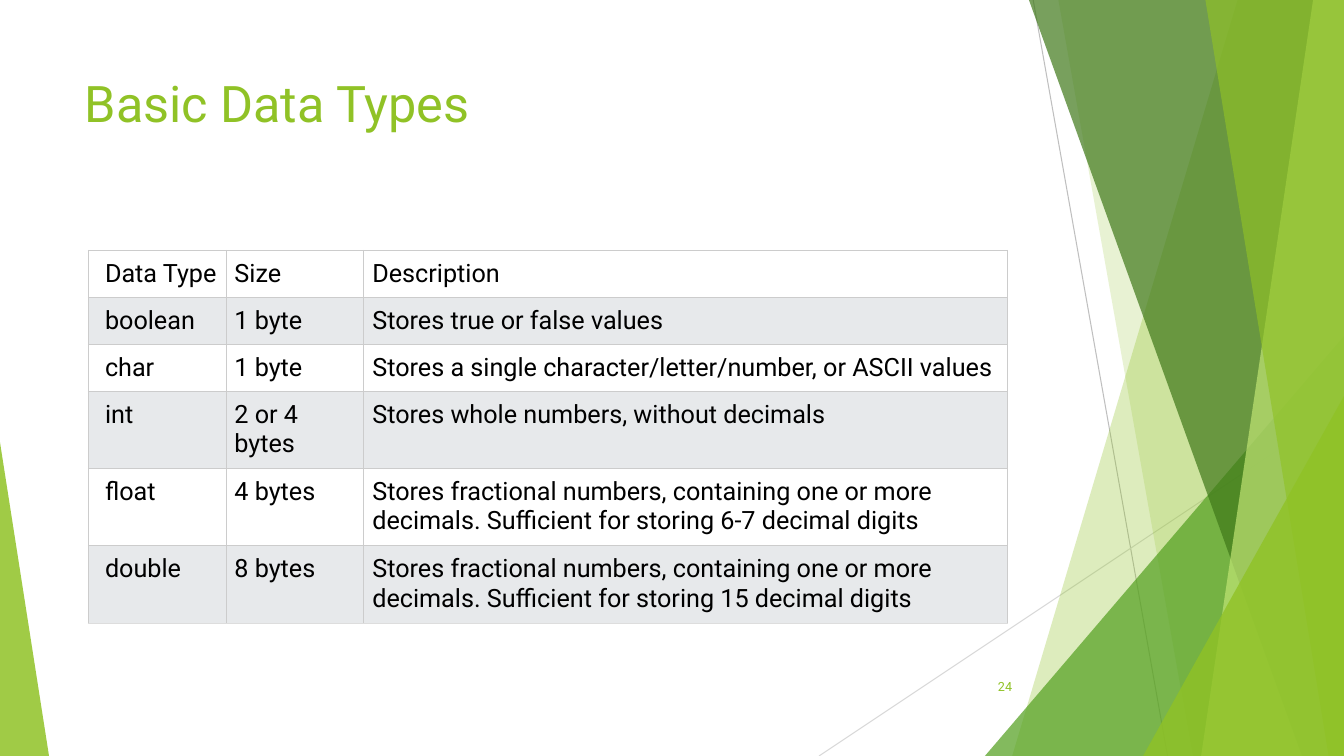
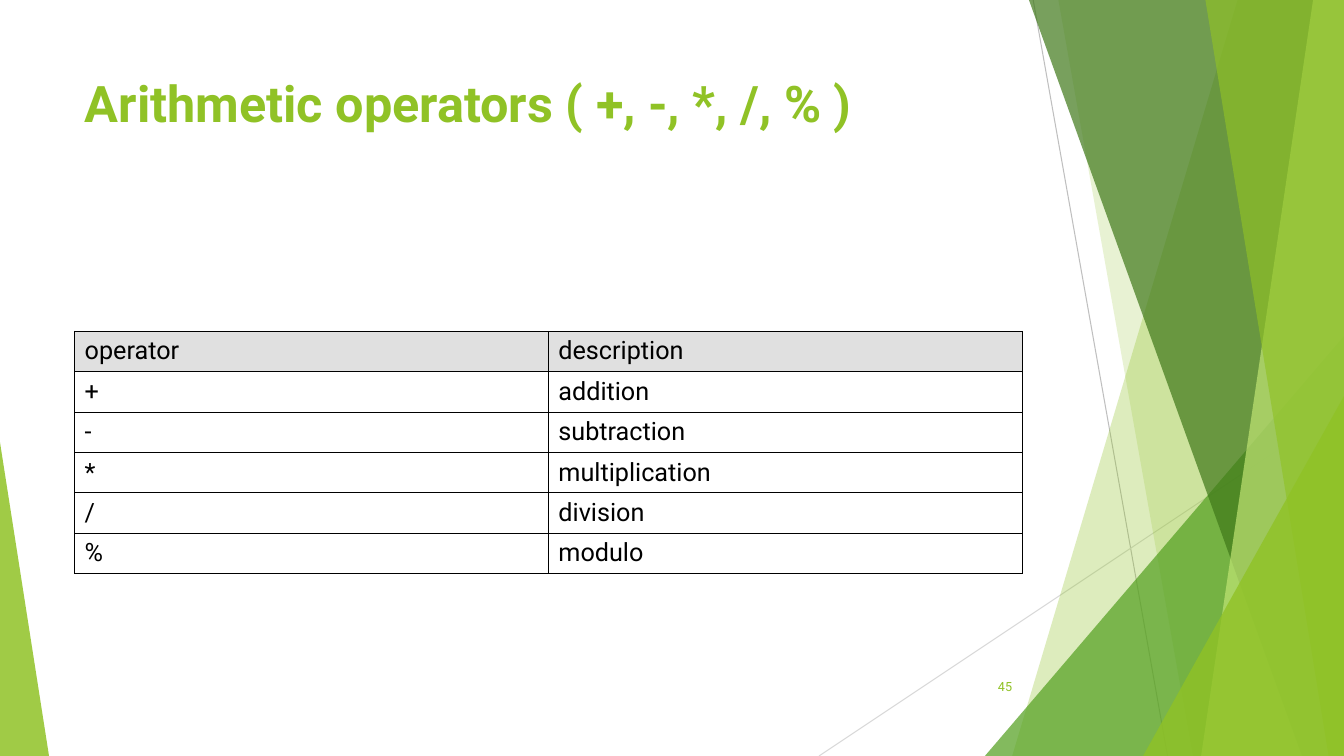
from lxml.etree import SubElement
from pptx import Presentation
from pptx.dml.color import RGBColor
from pptx.enum.shapes import MSO_CONNECTOR as Line, MSO_SHAPE as Shape
from pptx.enum.text import MSO_ANCHOR as Anchor, MSO_AUTO_SIZE as AutoSize, PP_ALIGN as Align
from pptx.oxml.ns import qn
from pptx.util import Pt

WIDTH, HEIGHT = 960, 540
FONT = "Roboto"
BLACK = RGBColor(0x00, 0x00, 0x00)
WHITE = RGBColor(0xFF, 0xFF, 0xFF)
LIME = RGBColor(0x90, 0xC2, 0x26)
PALE_LIME = RGBColor(0xC0, 0xE4, 0x74)
GREEN = RGBColor(0x54, 0xA0, 0x21)
DARK_GREEN = RGBColor(0x3F, 0x78, 0x19)
LINE_GRAY = RGBColor(0xBF, 0xBF, 0xBF)
LIGHT_LINE = RGBColor(0xD9, 0xD9, 0xD9)
BORDER_GRAY = RGBColor(0xCC, 0xCC, 0xCC)
BASE_GRAY = RGBColor(0xDD, 0xDD, 0xDD)
BAND_GRAY = RGBColor(0xE7, 0xE9, 0xEB)
HEADER_GRAY = RGBColor(0xE0, 0xE0, 0xE0)

PAGE_BOX = (0, 0, WIDTH, HEIGHT)
TITLE_BOX = (53.3, 48, 676.8, 104)
NUMBER_BOX = (676, 476, 54, 29)

TYPES = [
    ("Data Type", "Size", "Description"),
    ("boolean", "1 byte", "Stores true or false values"),
    ("char", "1 byte", "Stores a single character/letter/number, or ASCII values"),
    ("int", "2 or 4 bytes", "Stores whole numbers, without decimals"),
    ("float", "4 bytes", "Stores fractional numbers, containing one or more decimals. "
     "Sufficient for storing 6-7 decimal digits"),
    ("double", "8 bytes", "Stores fractional numbers, containing one or more decimals. "
     "Sufficient for storing 15 decimal digits"),
]
OPERATORS = [
    ("operator", "description"),
    ("+", "addition"),
    ("-", "subtraction"),
    ("*", "multiplication"),
    ("/", "division"),
    ("%", "modulo"),
]


def pts(*values):
    """Turn numbers of points into lengths."""
    return [Pt(v) for v in values]


def style(p, size, color, bold=False, align=Align.LEFT):
    """Set the font and alignment of a paragraph."""
    p.alignment = align
    p.font.name, p.font.size, p.font.bold = FONT, Pt(size), bold
    p.font.color.rgb = color


def paint(sp, color, percent):
    """Give a shape a see-through fill, no outline and no shadow."""
    sp.shadow.inherit = False
    sp.line.fill.background()
    sp.fill.solid()
    sp.fill.fore_color.rgb = color
    clr = sp.element.spPr.find(qn("a:solidFill"))[0]
    SubElement(clr, qn("a:alpha"), val=str(percent * 1000))


def add_facets(s, box):
    """Draw the green facets at both edges of the box, behind everything else."""
    x, y, w, h = box
    group = s.shapes.add_group_shape()
    shapes = group.shapes

    def line(x1, y1, x2, y2, color):
        cn = shapes.add_connector(Line.STRAIGHT, *pts(x + x1, y + y1, x + x2, y + y2))
        cn.line.color.rgb, cn.line.width = color, Pt(0.75)
        SubElement(cn.element.spPr, qn("a:effectLst"))

    def facet(top, bottom, color, percent):
        fb = shapes.build_freeform(x + top, y, scale=Pt(1))
        fb.add_line_segments([(x + w, y), (x + w, y + h), (x + bottom, y + h)])
        paint(fb.convert_to_shape(), color, percent)

    def corner(left, top, width, apex, color, percent):
        sp = shapes.add_shape(Shape.ISOSCELES_TRIANGLE,
                              *pts(x + left, y + top, width, h - top))
        sp.adjustments[0] = apex
        paint(sp, color, percent)

    line(738, 0, 834, h, LINE_GRAY)
    line(w, 290, 585, h, LIGHT_LINE)
    facet(884, 723, LIME, 30)
    facet(756, 852, LIME, 20)
    corner(703.5, 240, w - 703.5, 1, GREEN, 72)
    facet(735, 929.5, DARK_GREEN, 70)
    facet(938, 858, PALE_LIME, 70)
    facet(861, 949, LIME, 65)
    corner(816.5, 283, w - 816.5, 1, LIME, 80)
    corner(0, 316, 35, 0, LIME, 85)
    s.shapes.element.insert(2, group.element)


def add_title(s, box, text, bold):
    """Place the title placeholder in the box."""
    sp = s.shapes.title
    sp.left, sp.top, sp.width, sp.height = pts(*box)
    tf = sp.text_frame
    tf.text = text
    tf.auto_size, tf.vertical_anchor = AutoSize.NONE, Anchor.TOP
    style(tf.paragraphs[0], 36, LIME, bold)


def add_number(s, box, number):
    """Write the page number at the right of the box."""
    tf = s.shapes.add_textbox(*pts(*box)).text_frame
    tf.word_wrap, tf.vertical_anchor = True, Anchor.MIDDLE
    tf.text = str(number)
    style(tf.paragraphs[0], 9, LIME, align=Align.RIGHT)


def add_borders(cell, color, base):
    """Draw thin borders around a filled cell, the bottom one in the base colour."""
    tc_pr = cell._tc.get_or_add_tcPr()
    for i, side in enumerate("LRTB"):
        ln = SubElement(tc_pr, qn(f"a:ln{side}"), w=str(Pt(0.75)))
        fill = SubElement(ln, qn("a:solidFill"))
        SubElement(fill, qn("a:srgbClr"), val=str(base if side == "B" else color))
        tc_pr.insert(i, ln)


def add_grid(s, box, rows, widths, heights, fills, border, base=None,
             first_inset=7.2, insets=(7.2, 3.6), anchor=Anchor.MIDDLE):
    """Fill a table at the box's corner, with one fill colour for each row."""
    frame = s.shapes.add_table(len(rows), len(widths), *pts(*box))
    tbl = frame.table
    tbl.first_row = tbl.horz_banding = False
    for col, width in zip(tbl.columns, widths):
        col.width = Pt(width)
    for r, (texts, height, fill) in enumerate(zip(rows, heights, fills)):
        tbl.rows[r].height = Pt(height)
        last = r == len(rows) - 1
        for c, text in enumerate(texts):
            cell = tbl.cell(r, c)
            cell.text = text
            cell.vertical_anchor = anchor
            cell.margin_left = Pt(insets[0] if c else first_inset)
            cell.margin_right = Pt(insets[0])
            cell.margin_top = cell.margin_bottom = Pt(insets[1])
            cell.fill.solid()
            cell.fill.fore_color.rgb = fill
            style(cell.text_frame.paragraphs[0], 18, BLACK)
            add_borders(cell, border, base if last and base else border)


def add_page(prs, title, number, bold=False):
    """Add a slide with the facets, title and number that all slides share."""
    s = prs.slides.add_slide(prs.slide_layouts[5])
    add_facets(s, PAGE_BOX)
    add_title(s, TITLE_BOX, title, bold)
    add_number(s, NUMBER_BOX, number)
    return s


def add_types_slide(prs):
    """Build the slide on basic data types."""
    s = add_page(prs, "Basic Data Types", 24)
    add_grid(s, (63, 178.8, 657, 262), TYPES, (98.5, 98.5, 460),
             [33.1] * 3 + [54.2] * 3, [WHITE, BAND_GRAY] * 3, BORDER_GRAY, BASE_GRAY,
             first_inset=12, insets=(6, 6), anchor=Anchor.TOP)


def add_operators_slide(prs):
    """Build the slide on arithmetic operators."""
    s = add_page(prs, "Arithmetic operators ( +, -, *, /, % )", 45, bold=True)
    add_grid(s, (53.3, 236.6, 676.8, 170.4), OPERATORS, [338.4] * 2,
             [28.4] * 6, [HEADER_GRAY] + [WHITE] * 5, BLACK)


def main():
    """Build and save the presentation."""
    prs = Presentation()
    prs.slide_width, prs.slide_height = pts(WIDTH, HEIGHT)
    add_types_slide(prs)
    add_operators_slide(prs)
    prs.save("out.pptx")


if __name__ == "__main__":
    main()
